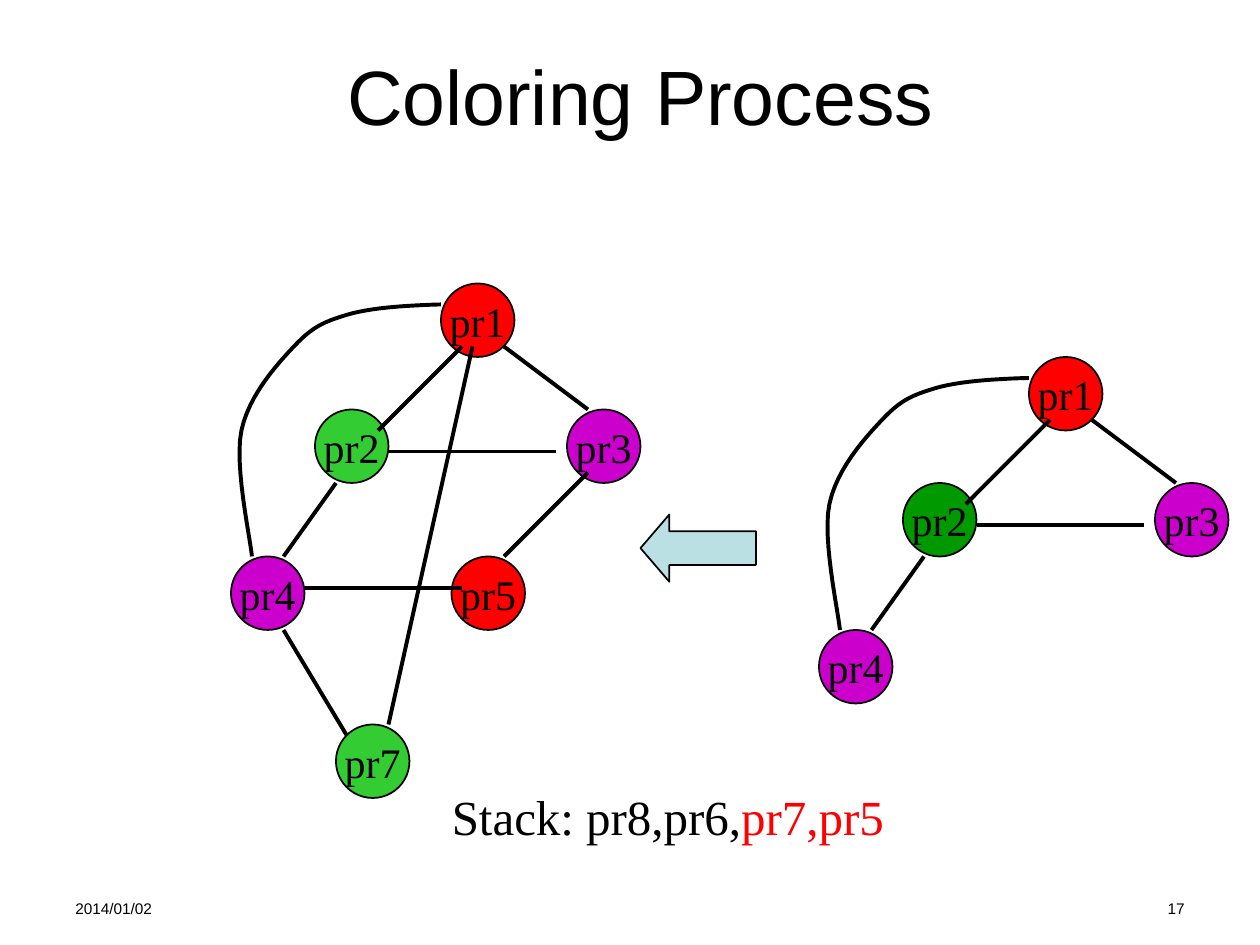
from pptx import Presentation
from pptx.dml.color import RGBColor
from pptx.enum.shapes import MSO_CONNECTOR as Connector, MSO_SHAPE as Shape
from pptx.enum.text import MSO_ANCHOR as Anchor, MSO_AUTO_SIZE as AutoSize, PP_ALIGN as Align
from pptx.oxml.ns import qn
from pptx.util import Emu, Pt
from lxml.etree import SubElement

BLACK = RGBColor(0, 0, 0)
RED = RGBColor(255, 0, 0)
GREEN = RGBColor(0x33, 0xCC, 0x33)
DARK_GREEN = RGBColor(0, 0x99, 0)
PURPLE = RGBColor(0xCC, 0, 0xCC)
PALE_BLUE = RGBColor(0xBB, 0xE0, 0xE3)

PX = 7620
SLIDE_SIZE = 1200, 900
NODE_SIZE = 70
CURVE_STEPS = 12
SANS, SERIF = "Arial", "Times New Roman"

TEXTS = [
    ((60, 850, 280, 32), [("2014/01/02", BLACK)],
     {"size": Pt(8.8), "name": SANS}, Align.LEFT, {"word_wrap": True}),
    ((860, 850, 280, 32), [("17", BLACK)],
     {"size": Pt(8.8), "name": SANS}, Align.RIGHT, {"word_wrap": True}),
    ((100, 30, 1020, 120), [("Coloring Process", BLACK)],
     {"size": Pt(44), "name": SANS}, Align.CENTER,
     {"word_wrap": True, "vertical_anchor": Anchor.MIDDLE}),
    ((418, 743, 436, 68), [("Stack: pr8,pr6,", BLACK), ("pr7,pr5", RED)],
     {"size": Pt(28), "name": SERIF}, Align.CENTER,
     {"word_wrap": False, "auto_size": AutoSize.SHAPE_TO_FIT_TEXT}),
]
NODE_FONT = {"size": Pt(24), "name": SERIF}
NODE_FRAME = {"word_wrap": False, "vertical_anchor": Anchor.MIDDLE}
ARROW_BOX = 610, 490, 110, 64
ARROW_ADJUSTMENTS = 0.5, 0.43

PLACES = {"pr1": (420, 270), "pr2": (300, 390), "pr3": (540, 390),
          "pr4": (220, 530), "pr5": (430, 530), "pr7": (320, 690)}
CORE_EDGES = [
    ((440, 330), (360, 410)),
    ((370, 430), (530, 430)),
    ((320, 460), (270, 530)),
    ((480, 330), (560, 390)),
]
RESTORED_EDGES = [
    ((290, 560), (440, 560)),
    ((450, 330), (370, 690)),
    ((270, 600), (330, 700)),
    ((560, 450), (480, 530)),
]
ARC_START = 420, 290
ARC_BENDS = [
    ((387, 291), (353, 293), (330, 300)),
    ((307, 307), (297, 312), (280, 330)),
    ((263, 348), (237, 377), (230, 410)),
    ((223, 443), (238, 510), (240, 530)),
]
GRAPHS = [
    ((560, 70), {"pr1": RED, "pr2": DARK_GREEN, "pr3": PURPLE, "pr4": PURPLE}, CORE_EDGES),
    ((0, 0), {"pr1": RED, "pr2": GREEN, "pr3": PURPLE, "pr5": RED, "pr4": PURPLE, "pr7": GREEN},
     CORE_EDGES + RESTORED_EDGES),
]


def emu(*lengths):
    return [Emu(round(length * PX)) for length in lengths]


def apply(target, values):
    for key, value in values.items():
        setattr(target, key, value)


def write(frame, parts, font, align, frame_format):
    apply(frame, frame_format)
    paragraph = frame.paragraphs[0]
    paragraph.alignment = align
    for words, color in parts:
        run = paragraph.add_run()
        run.text = words
        apply(run.font, font)
        run.font.color.rgb = color


def outline(part, width):
    part.line.color.rgb = BLACK
    part.line.width = Pt(width)


def add_solid(shapes, kind, box, color):
    solid = shapes.add_shape(kind, *emu(*box))
    solid.shadow.inherit = False
    solid.fill.solid()
    solid.fill.fore_color.rgb = color
    outline(solid, 1)
    return solid


def add_edge(shapes, start, end):
    edge = shapes.add_connector(Connector.STRAIGHT, *emu(*start, *end))
    outline(edge, 2.25)
    SubElement(edge._element.spPr, qn("a:effectLst"))


def arc_points():
    start = ARC_START
    for first, second, end in ARC_BENDS:
        for step in range(1, CURVE_STEPS + 1):
            t = step / CURVE_STEPS
            u = 1 - t
            yield tuple(u**3 * a + 3 * u * u * t * b + 3 * u * t * t * c + t**3 * d
                        for a, b, c, d in zip(start, first, second, end))
        start = end


def add_arc(shapes, offset):
    start, *bends = [emu(*shift(point, offset)) for point in [ARC_START, *arc_points()]]
    builder = shapes.build_freeform(*start)
    builder.add_line_segments(bends, close=False)
    arc = builder.convert_to_shape()
    arc.shadow.inherit = False
    arc.fill.background()
    outline(arc, 2.25)


def shift(point, offset):
    return point[0] + offset[0], point[1] + offset[1]


def add_graph(shapes, offset, node_colors, edges):
    for label, color in node_colors.items():
        box = (*shift(PLACES[label], offset), NODE_SIZE, NODE_SIZE)
        node = add_solid(shapes, Shape.OVAL, box, color)
        write(node.text_frame, [(label, BLACK)], NODE_FONT, Align.CENTER, NODE_FRAME)
    for start, end in edges:
        add_edge(shapes, shift(start, offset), shift(end, offset))
    add_arc(shapes, offset)


def main():
    """Build the slide on coloring a register graph."""
    deck = Presentation()
    deck.slide_width, deck.slide_height = emu(*SLIDE_SIZE)
    shapes = deck.slides.add_slide(deck.slide_layouts[6]).shapes
    for box, *content in TEXTS:
        write(shapes.add_textbox(*emu(*box)).text_frame, *content)
    arrow = add_solid(shapes, Shape.LEFT_ARROW, ARROW_BOX, PALE_BLUE)
    for index, value in enumerate(ARROW_ADJUSTMENTS):
        arrow.adjustments[index] = value
    for graph in GRAPHS:
        add_graph(shapes, *graph)
    deck.save("out.pptx")


if __name__ == "__main__":
    main()
